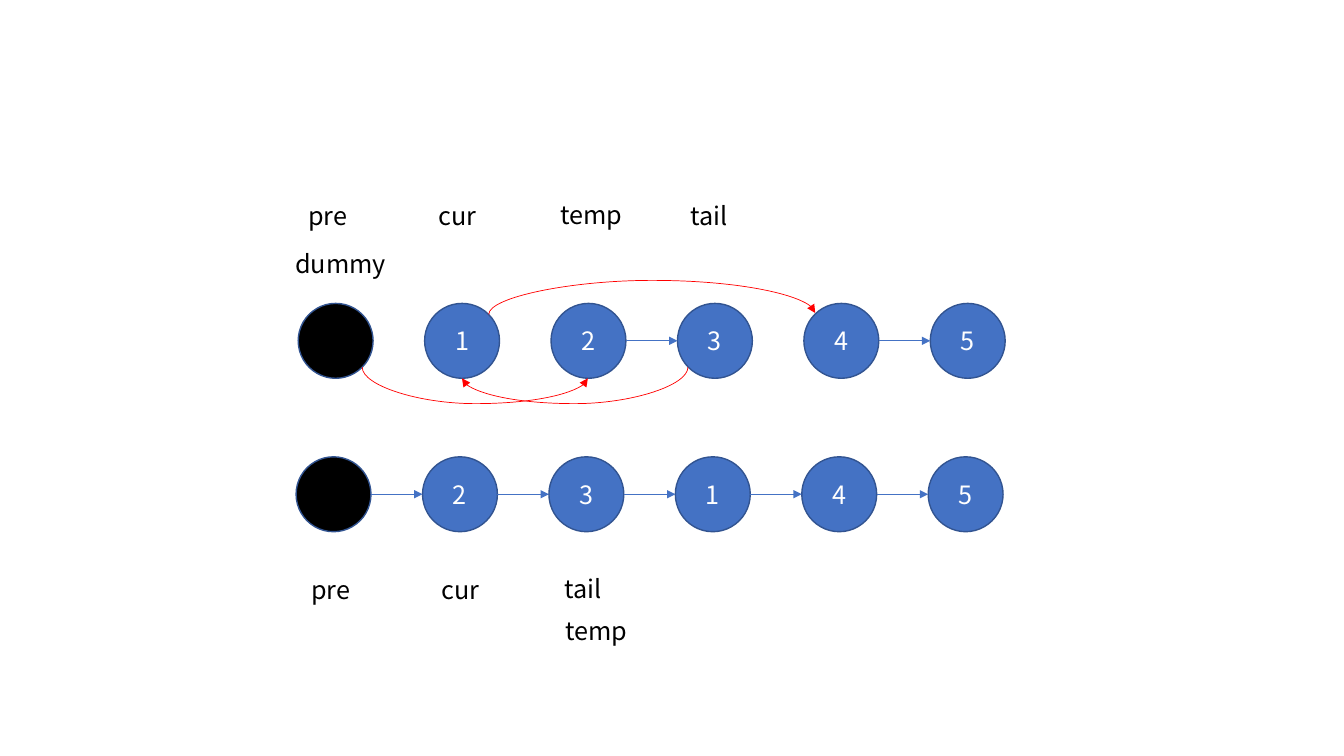
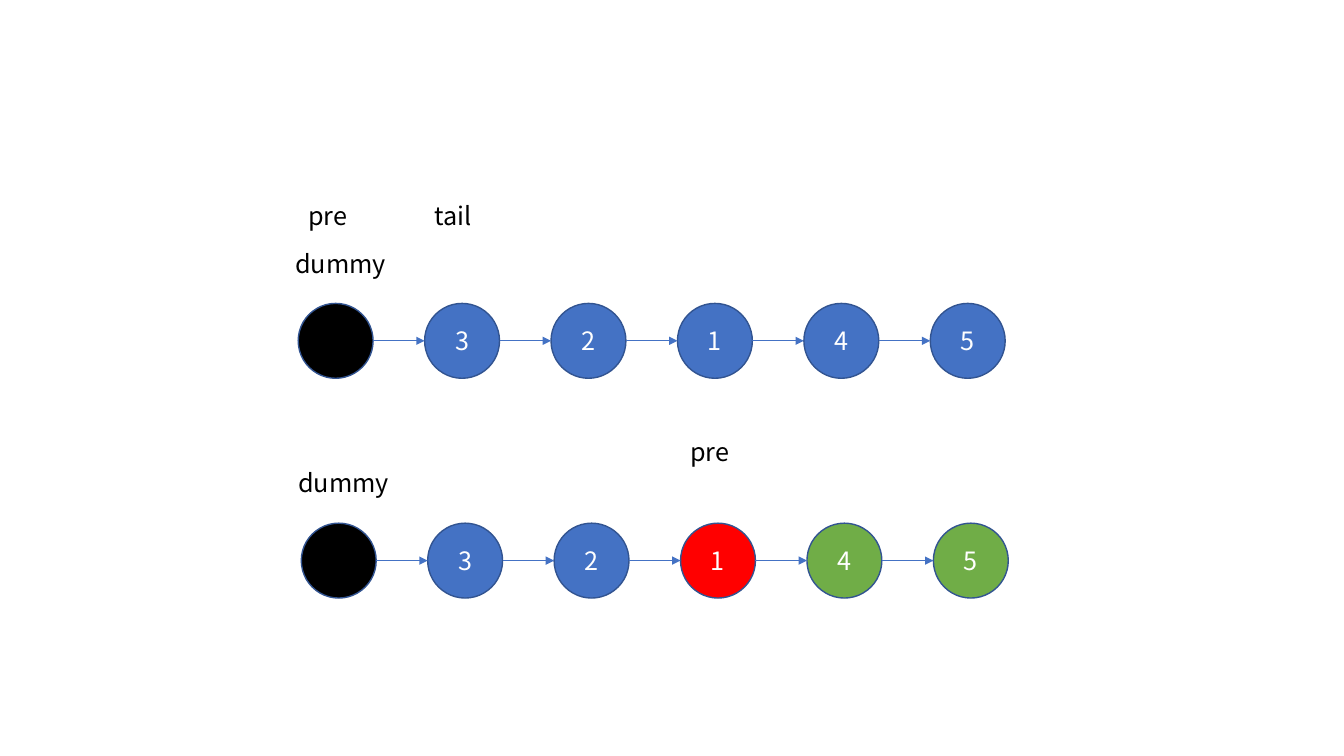
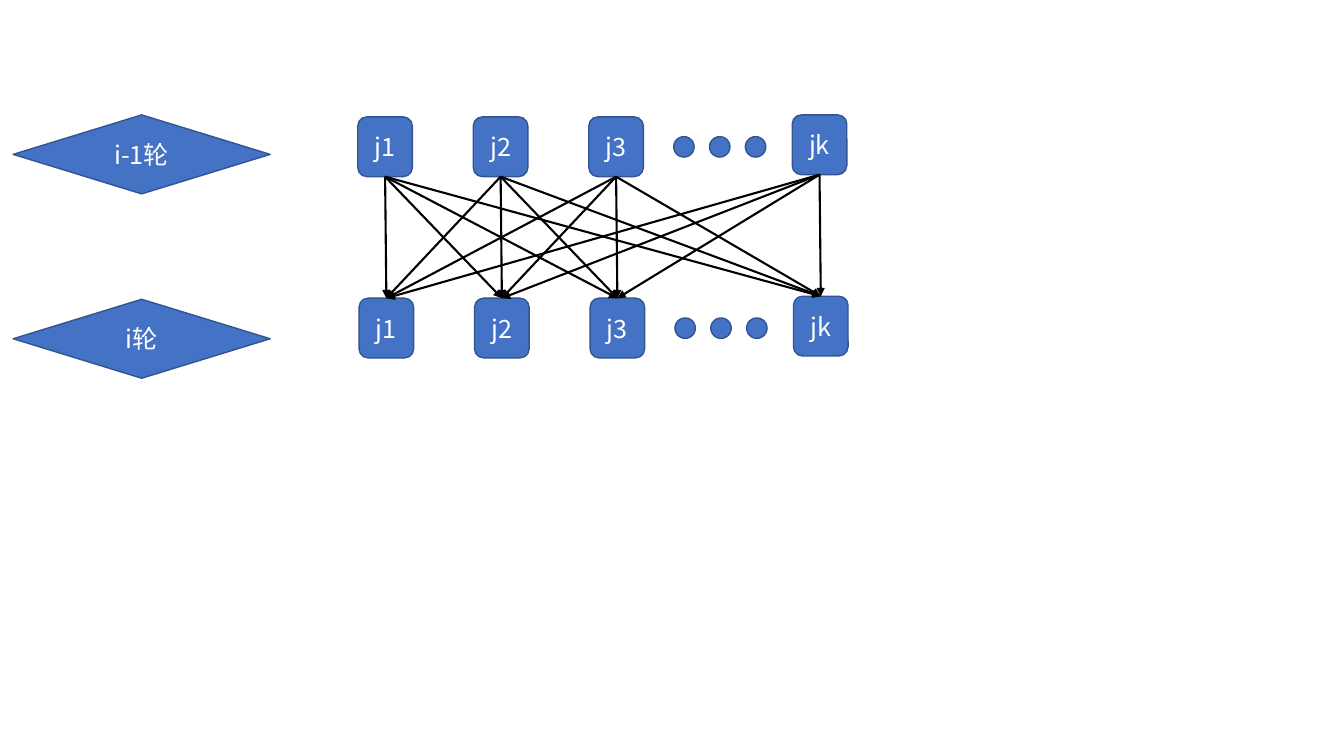
"""Build three slides of linked-list reversal and layered-state diagrams."""
from dataclasses import dataclass

from lxml.etree import SubElement
from pptx import Presentation
from pptx.dml.color import RGBColor
from pptx.enum.shapes import MSO_CONNECTOR, MSO_SHAPE
from pptx.enum.text import MSO_ANCHOR, MSO_AUTO_SIZE, PP_ALIGN
from pptx.oxml.ns import qn
from pptx.util import Pt


@dataclass(frozen=True)
class Theme:
    font: str = "Noto Sans CJK SC"
    text_size: float = 18
    outline_width: float = 1
    thin_line: float = 0.5
    thick_line: float = 1.5
    blue: RGBColor = RGBColor(0x44, 0x72, 0xC4)
    outline: RGBColor = RGBColor(0x32, 0x54, 0x91)
    red: RGBColor = RGBColor(0xFF, 0x00, 0x00)
    green: RGBColor = RGBColor(0x70, 0xAD, 0x47)
    black: RGBColor = RGBColor(0x00, 0x00, 0x00)
    white: RGBColor = RGBColor(0xFF, 0xFF, 0xFF)


THEME = Theme()


def add_text(slide, text, box, preset=None, fill=THEME.blue, color=THEME.white):
    """Add a label, or a filled shape with centred text when a preset is given."""
    lengths = [Pt(length) for length in box]
    if preset is None:
        shape = slide.shapes.add_textbox(*lengths)
        shape.text_frame.auto_size = MSO_AUTO_SIZE.SHAPE_TO_FIT_TEXT
    else:
        shape = slide.shapes.add_shape(preset, *lengths)
        shape.shadow.inherit = False
        shape.fill.solid()
        shape.fill.fore_color.rgb = fill
        shape.line.color.rgb = THEME.outline
        shape.line.width = Pt(THEME.outline_width)
        shape.text_frame.vertical_anchor = MSO_ANCHOR.MIDDLE
    shape.text_frame.word_wrap = True
    if text:
        paragraph = shape.text_frame.paragraphs[0]
        paragraph.alignment = PP_ALIGN.CENTER if preset else PP_ALIGN.LEFT
        run = paragraph.add_run()
        run.text = text
        run.font.name = THEME.font
        run.font.size = Pt(THEME.text_size)
        run.font.color.rgb = color
        SubElement(run.font._element, qn("a:ea"), typeface=THEME.font)
    return shape


def add_arrow(slide, begin, end, color, width, kind=MSO_CONNECTOR.STRAIGHT):
    """Add a connector with a triangular head at its end."""
    points = [Pt(length) for length in (*begin, *end)]
    arrow = slide.shapes.add_connector(kind, *points)
    arrow.line.color.rgb = color
    arrow.line.width = Pt(width)
    SubElement(arrow.line._get_or_add_ln(), qn("a:tailEnd"), type="triangle")
    SubElement(arrow._element.spPr, qn("a:effectLst"))
    return arrow


presentation = Presentation()
presentation.slide_width, presentation.slide_height = Pt(960), Pt(540)
blank_layout = presentation.slide_layouts[6]
swap_slide, result_slide, rounds_slide = [
    presentation.slides.add_slide(blank_layout) for _ in range(3)
]

NODE_SIZE, NODE_PITCH = 53.5, 90.3
plain_fills = [THEME.black] + [THEME.blue] * 5
group_fills = [THEME.black] + [THEME.blue] * 2 + [THEME.red] + [THEME.green] * 2
all_links = range(5)
node_rows = [
    (swap_slide, 213, 216.7, ["", "1", "2", "3", "4", "5"], plain_fills, (2, 4)),
    (swap_slide, 211.5, 326.3, ["", "2", "3", "1", "4", "5"], plain_fills, all_links),
    (result_slide, 213, 216.7, ["", "3", "2", "1", "4", "5"], plain_fills, all_links),
    (result_slide, 215.2, 373.7, ["", "3", "2", "1", "4", "5"], group_fills, all_links),
]
for slide, row_left, row_top, values, fills, links in node_rows:
    for index, (value, fill) in enumerate(zip(values, fills)):
        box = (row_left + index * NODE_PITCH, row_top, NODE_SIZE, NODE_SIZE)
        add_text(slide, value, box, MSO_SHAPE.OVAL, fill)
    middle = row_top + NODE_SIZE / 2
    for index in links:
        start = row_left + index * NODE_PITCH + NODE_SIZE
        finish = row_left + (index + 1) * NODE_PITCH
        add_arrow(slide, (start, middle), (finish, middle), THEME.blue, THEME.thin_line)

pointer_labels = [
    (swap_slide, "dummy", 203.8, 173.5, 94.3),
    (swap_slide, "pre", 213, 139.3, 48.2),
    (swap_slide, "cur", 306, 139.3, 48.2),
    (swap_slide, "temp", 393.3, 138.5, 67),
    (swap_slide, "tail", 486, 139.3, 48.2),
    (swap_slide, "pre", 215.3, 407, 48.2),
    (swap_slide, "cur", 308.2, 407, 48.2),
    (swap_slide, "tail", 396, 406, 67),
    (swap_slide, "temp", 396.7, 436.3, 67),
    (result_slide, "dummy", 203.8, 173.5, 94.3),
    (result_slide, "pre", 213, 139.3, 48.2),
    (result_slide, "tail", 303.1, 139.3, 48.2),
    (result_slide, "dummy", 206, 330.5, 94.3),
    (result_slide, "pre", 486, 308, 48.2),
]
for slide, text, left, top, width in pointer_labels:
    add_text(slide, text, (left, top, width, 29.2), color=THEME.black)

curves = [
    ((258.7, 262.3), (419.9, 270.2), 26, 270, ("flipH",)),
    ((349.1, 224.6), (582.3, 223.6), 24.5, 90, ("flipH", "flipV")),
    ((491.4, 262.3), (330, 270.2), 26, 90, ()),
]
for begin, end, depth, angle, flips in curves:
    curve = add_arrow(swap_slide, begin, end, THEME.red, THEME.thin_line, MSO_CONNECTOR.CURVE)
    width, height = abs(end[1] - begin[1]), abs(end[0] - begin[0])
    curve.left = Pt((begin[0] + end[0] - width) / 2)
    curve.top = Pt((begin[1] + end[1] - height) / 2)
    curve.width, curve.height = Pt(width), Pt(height)
    transform = curve._element.spPr.find(qn("a:xfrm"))
    for name in ("flipH", "flipV"):
        transform.set(name, "1" if name in flips else "0")
    transform.set("rot", str(angle * 60000))
    geometry = curve._element.spPr.find(qn("a:prstGeom"))
    adjustments = geometry.find(qn("a:avLst"))
    if adjustments is None:
        adjustments = SubElement(geometry, qn("a:avLst"))
    bend = round(depth / width * 100000)
    SubElement(adjustments, qn("a:gd"), name="adj1", fmla=f"val {bend}")

STATE_PITCH, DOT_PITCH, DOT_SIZE = 82.5, 25.6, 14.6
rounds = []
for title, title_top, row_left, row_top in [
    ("i-1轮", 82.1, 255.6, 83.5),
    ("i轮", 213.8, 256.5, 213),
]:
    add_text(rounds_slide, title, (9.4, title_top, 183.6, 56.4), MSO_SHAPE.DIAMOND)
    positions = [(index * STATE_PITCH, 0) for index in range(3)] + [(310.3, -1.4)]
    states = []
    for text, (across, down) in zip(("j1", "j2", "j3", "jk"), positions):
        box = (row_left + across, row_top + down, 39, 42.7)
        states.append(add_text(rounds_slide, text, box, MSO_SHAPE.ROUNDED_RECTANGLE))
    rounds.append(states)
    for index in range(3):
        dot_left = row_left + 225.6 + index * DOT_PITCH
        box = (dot_left, row_top + 14.1, DOT_SIZE, DOT_SIZE)
        add_text(rounds_slide, "", box, MSO_SHAPE.OVAL)

previous_states, current_states = rounds
for previous in previous_states:
    for current in current_states:
        arrow = add_arrow(rounds_slide, (0, 0), (0, 0), THEME.black, THEME.thick_line)
        arrow.begin_connect(previous, 2)
        arrow.end_connect(current, 0)

presentation.save("out.pptx")
